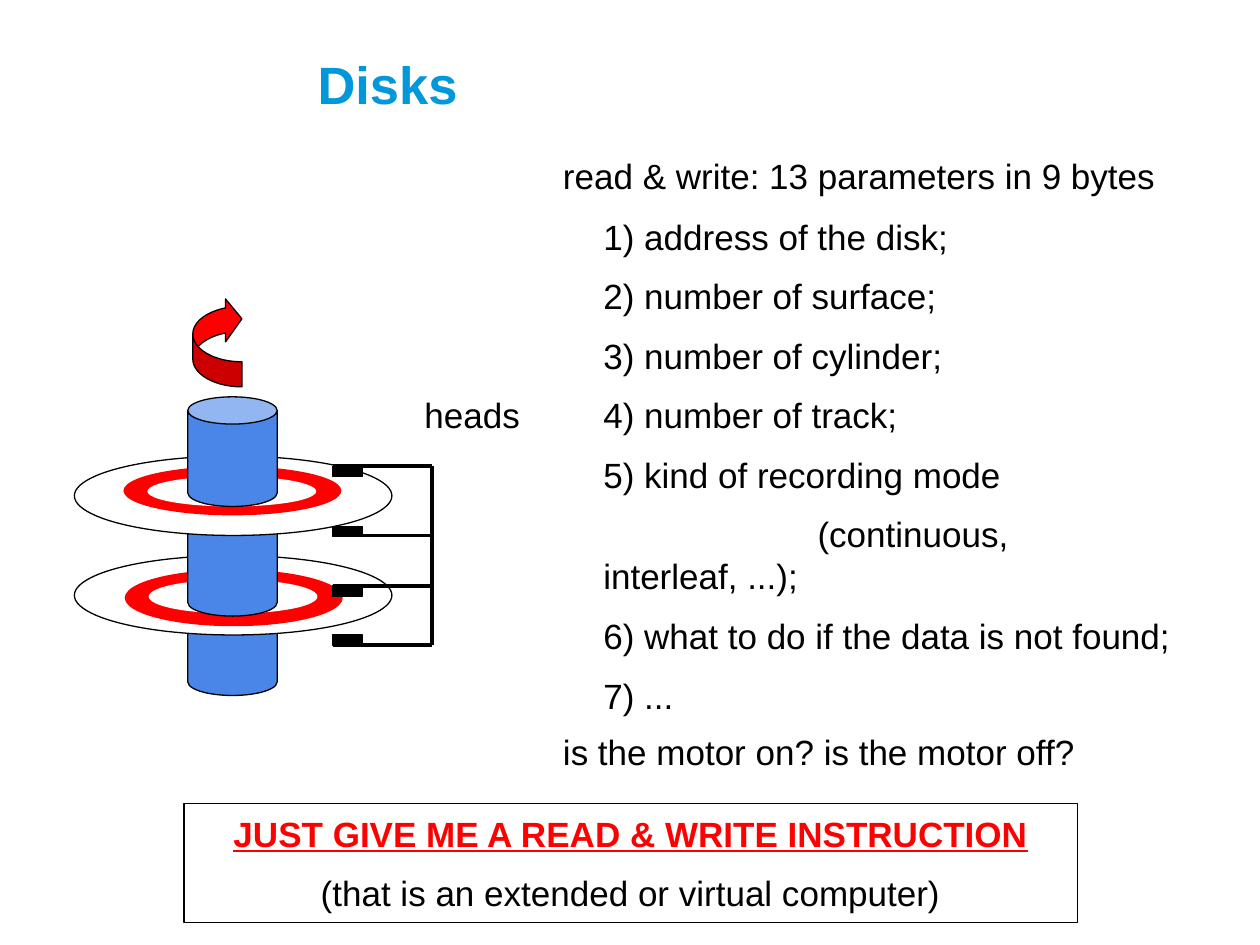
from lxml.etree import SubElement
from pptx import Presentation
from pptx.dml.color import RGBColor
from pptx.enum.shapes import MSO_CONNECTOR as LINK, MSO_SHAPE as KIND
from pptx.enum.text import MSO_ANCHOR as ANCHOR, MSO_AUTO_SIZE as FIT, PP_ALIGN as ALIGN
from pptx.oxml.ns import qn
from pptx.util import Pt

PX = 9144  # 100 px to the inch
BLUE = RGBColor(0x00, 0x98, 0xDB)
STEEL = RGBColor(0x4A, 0x86, 0xE8)
RED = RGBColor(0xFF, 0x00, 0x00)
BLACK = RGBColor(0x00, 0x00, 0x00)
WHITE = RGBColor(0xFF, 0xFF, 0xFF)

STEPS = [
    "1) address of the disk;",
    "2) number of surface;",
    "3) number of cylinder;",
    "4) number of track;",
    "5) kind of recording mode",
    "(continuous,\vinterleaf, ...);",
    "6) what to do if the data is not found;",
    "7) ...",
]
MODE = 5  # the step that goes on from the one before, set far in


def emu(*nums):
    return [n * PX for n in nums]


def write(frame, lines, size=20, color=BLACK, align=ALIGN.LEFT, anchor=ANCHOR.TOP):
    frame.word_wrap = True
    frame.auto_size = FIT.NONE
    frame.vertical_anchor = anchor
    frame.margin_left = frame.margin_right = 10 * PX
    frame.margin_top = frame.margin_bottom = 5 * PX
    for i, line in enumerate(lines):
        para = frame.add_paragraph() if i else frame.paragraphs[0]
        para.text = line
        para.alignment = align
        para.space_before = Pt(10 if i else 0)
        font = para.font
        font.name, font.size, font.color.rgb = "Arial", Pt(size), color
    return frame.paragraphs


def label(slide, box, *lines):
    return write(slide.shapes.add_textbox(*emu(*box)).text_frame, lines)


def draw(slide, kind, box, fill=None, line=BLACK, adj=()):
    shape = slide.shapes.add_shape(kind, *emu(*box))
    shape.shadow.inherit = False
    if fill is None:
        shape.fill.background()
    else:
        shape.fill.solid()
        shape.fill.fore_color.rgb = fill
    if line is None:
        shape.line.fill.background()
    else:
        shape.line.color.rgb = line
        shape.line.width = Pt(0.75)
    for i, value in enumerate(adj):
        shape.adjustments[i] = value
    return shape


def wire(slide, *ends):
    link = slide.shapes.add_connector(LINK.STRAIGHT, *emu(*ends))
    link.line.color.rgb = BLACK
    link.line.width = Pt(2.25)
    SubElement(link._element.spPr, qn("a:effectLst"))


def title(slide, box):
    head = slide.shapes.title
    head.left, head.top, head.width, head.height = emu(*box)
    write(head.text_frame, ["Disks"], 30, BLUE)[0].font.bold = True


def notes(slide, x, y):
    """The list of parameters, between its two unindented lines."""
    label(slide, (x, y, 504, 43), "read & write: 13 parameters in 9 bytes")
    paras = label(slide, (x + 32, y + 48, 504, 393), *STEPS)
    paras[MODE]._p.get_or_add_pPr().set("indent", str(170 * PX))
    label(slide, (x, y + 457, 504, 43), "is the motor on? is the motor off?")


def plate(slide, x, y, ring, hole):
    for box, fill, line in (
        ((0, 0, 252, 63), WHITE, BLACK),
        (ring, RED, None),
        (hole, WHITE, None),
    ):
        left, top, wide, high = box
        draw(slide, KIND.OVAL, (x + left, y + top, wide, high), fill, line)


def stack(slide, x, y):
    """The turning spindle with its two plates, drawn from the bottom up."""

    def drum(top):
        draw(slide, KIND.CAN, (x + 90, y + top, 71, 87), STEEL, adj=[0.305])

    turn = draw(slide, KIND.CURVED_LEFT_ARROW, (x + 94, y, 39, 71), RED,
                adj=[0.51, 0.871, 0.333])
    turn.rotation = 180
    drum(229)
    plate(slide, x, y + 205, (40, 11, 173, 45), (59, 19, 134, 27))
    drum(166)
    plate(slide, x, y + 126, (39, 8, 173, 39), (58, 16, 134, 24))
    drum(79)


def heads(slide, x, y):
    """Four heads on one arm; each pair faces a plate from both sides."""
    label(slide, (x + 63, y - 63, 173, 43), "heads")
    for top, rod in ((0, 0), (48, 55), (95, 95), (134, 142)):
        draw(slide, KIND.RECTANGLE, (x, y + top, 24, 8), BLACK)
        wire(slide, x, y + rod, x + 79, y + rod)
    wire(slide, x + 79, y, x + 79, y + 142)


def banner(slide, box):
    frame = draw(slide, KIND.RECTANGLE, box).text_frame
    lines = ["JUST GIVE ME A READ & WRITE INSTRUCTION",
             "(that is an extended or virtual computer)"]
    font = write(frame, lines, align=ALIGN.CENTER, anchor=ANCHOR.MIDDLE)[0].font
    font.bold = font.underline = True
    font.color.rgb = RED


def main():
    deck = Presentation()
    deck.slide_width, deck.slide_height = emu(1000, 750)
    slide = deck.slides.add_slide(deck.slide_layouts[5])
    title(slide, (242, 36, 568, 50))
    notes(slide, 437, 118)
    banner(slide, (146, 638, 709, 94))
    stack(slide, 59, 236)
    heads(slide, 264, 370)
    deck.save("out.pptx")


if __name__ == "__main__":
    main()
